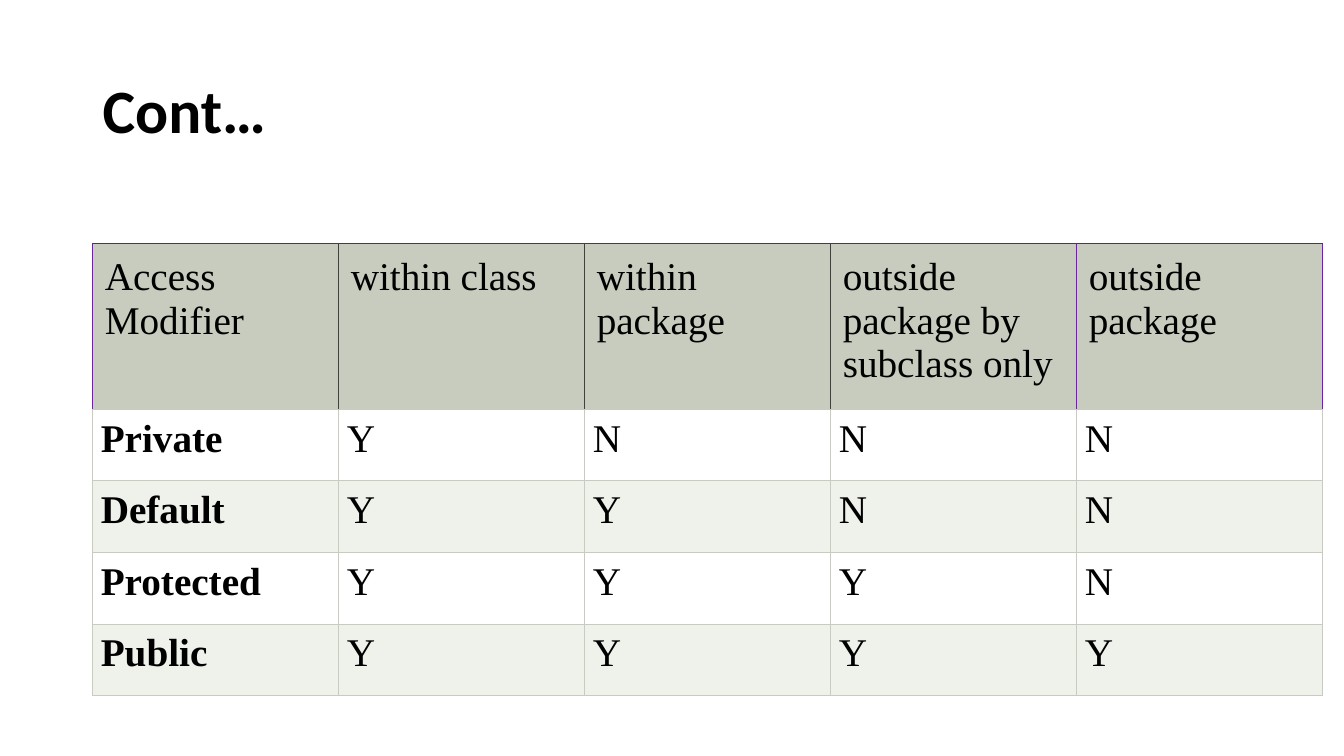
from lxml import etree
from pptx import Presentation
from pptx.dml.color import RGBColor
from pptx.enum.text import MSO_ANCHOR
from pptx.oxml.ns import qn
from pptx.util import Inches, Pt

MIDDLE = MSO_ANCHOR.MIDDLE
SAGE, PALE, WHITE, BLACK = "C7CCBE", "EFF1EB", "FFFFFF", "000000"
PURPLE, DARK = "9000FD", "404040"


def color(hex_value):
    return RGBColor.from_string(hex_value)


def set_borders(cell, colors):
    """Draw left, right, top and bottom borders, placed before the cell fill."""
    properties = cell._tc.get_or_add_tcPr()
    for index, (side, hex_value) in enumerate(zip("LRTB", colors)):
        line = etree.Element(qn(f"a:ln{side}"), w=str(Pt(0.75)))
        fill = etree.SubElement(line, qn("a:solidFill"))
        etree.SubElement(fill, qn("a:srgbClr"), val=hex_value)
        properties.insert(index, line)


prs = Presentation()
prs.slide_width, prs.slide_height = Inches(13.33), Inches(7.5)
slide = prs.slides.add_slide(prs.slide_layouts[6])

# Title
title = slide.shapes.add_textbox(Inches(0.92), Inches(0.4), Inches(11.5), Inches(1.45))
title_frame = title.text_frame
title_frame.word_wrap = True
title_frame.vertical_anchor = MIDDLE
title_frame.text = "Cont…"
title_paragraph = title_frame.paragraphs[0]
title_paragraph.line_spacing = 0.9
title_font = title_paragraph.runs[0].font
title_font.name, title_font.size, title_font.bold = "Calibri", Pt(44), True
title_font.color.rgb = color(BLACK)

# Access modifier table
access_rows = [
    ["Access Modifier", "within class", "within package",
     "outside package by subclass only", "outside package"],
    ["Private", *"YNNN"],
    ["Default", *"YYNN"],
    ["Protected", *"YYYN"],
    ["Public", *"YYYY"],
]
header_verticals = [PURPLE, DARK, DARK, DARK, PURPLE, PURPLE]
header_height, body_height, column_width = 1.55, 0.71, 2.44
access_table = slide.shapes.add_table(
    len(access_rows), len(access_rows[0]), Inches(0.92), Inches(2.42),
    Inches(column_width * 5), Inches(header_height + body_height * 4)).table
for column in access_table.columns:
    column.width = Inches(column_width)

for row_index, labels in enumerate(access_rows):
    is_header = row_index == 0
    access_table.rows[row_index].height = Inches(header_height if is_header else body_height)
    row_fill = SAGE if is_header else (PALE if row_index % 2 == 0 else WHITE)
    inset = Inches(0.12 if is_header else 0.08)
    for column_index, label in enumerate(labels):
        cell = access_table.cell(row_index, column_index)
        cell.margin_left = cell.margin_right = inset
        cell.margin_top = cell.margin_bottom = inset
        cell.fill.solid()
        cell.fill.fore_color.rgb = color(row_fill)
        if is_header:
            left, right = header_verticals[column_index:column_index + 2]
            set_borders(cell, [left, right, DARK, SAGE])
        else:
            set_borders(cell, [SAGE] * 4)
        cell.text_frame.text = label
        font = cell.text_frame.paragraphs[0].runs[0].font
        font.name, font.size = "Times New Roman", Pt(28)
        font.bold = column_index == 0 and not is_header
        font.color.rgb = color(BLACK)

prs.save("out.pptx")
